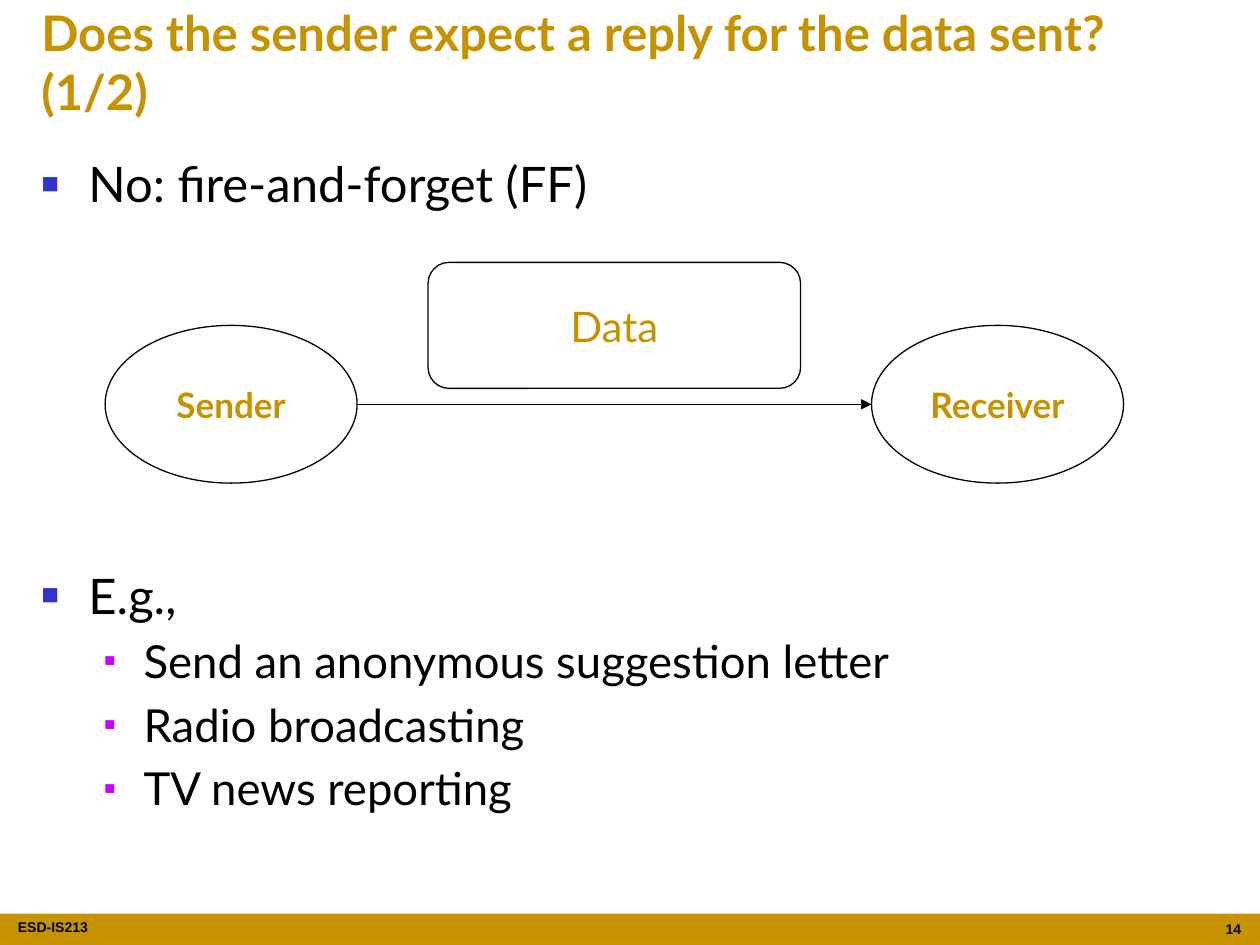
from dataclasses import dataclass

from lxml import etree
from pptx import Presentation
from pptx.dml.color import RGBColor
from pptx.enum.shapes import MSO_CONNECTOR, MSO_SHAPE
from pptx.enum.text import MSO_ANCHOR, MSO_AUTO_SIZE, PP_ALIGN
from pptx.oxml.ns import qn
from pptx.util import Cm, Pt

RECT, OVAL, ROUNDED = MSO_SHAPE.RECTANGLE, MSO_SHAPE.OVAL, MSO_SHAPE.ROUNDED_RECTANGLE
LEFT, CENTER, RIGHT = PP_ALIGN.LEFT, PP_ALIGN.CENTER, PP_ALIGN.RIGHT
STRAIGHT = MSO_CONNECTOR.STRAIGHT
MIDDLE, TOP = MSO_ANCHOR.MIDDLE, MSO_ANCHOR.TOP
NO_AUTOFIT = MSO_AUTO_SIZE.NONE


@dataclass(frozen=True)
class Theme:
    gold: str = "C69200"
    black: str = "000000"
    bullet_blue: str = "3333CC"
    bullet_magenta: str = "CC00FF"
    font: str = "Lato"
    footer_font: str = "Arial"
    heading: float = 28
    sub_item: float = 26
    data: float = 24
    node: float = 20
    footer: float = 8
    line: float = 0.75


THEME = Theme()


@dataclass(frozen=True)
class Box:
    left: float
    top: float
    width: float
    height: float

    def lengths(self) -> tuple:
        return Cm(self.left), Cm(self.top), Cm(self.width), Cm(self.height)


@dataclass(frozen=True)
class Node:
    text: str
    kind: int
    box: Box
    size: float
    bold: bool


@dataclass(frozen=True)
class Level:
    size: float
    indent: float
    hanging: float
    bullet_color: str
    bullet_percent: int


@dataclass(frozen=True)
class Item:
    text: str
    level: int
    space_before: float


LEVELS = (
    Level(THEME.heading, 0.95, 0.95, THEME.bullet_blue, 60),
    Level(THEME.sub_item, 2.06, 0.79, THEME.bullet_magenta, 40),
)
DIAGRAM_GAP = 201.6
SUB_GAP = 5.2
ITEMS = (
    Item("No: fire-and-forget (FF)", 0, 0),
    Item("E.g.,", 0, DIAGRAM_GAP),
    Item("Send an anonymous suggestion letter", 1, SUB_GAP),
    Item("Radio broadcasting", 1, SUB_GAP),
    Item("TV news reporting", 1, SUB_GAP),
)
SENDER = Node("Sender", OVAL, Box(2.12, 6.56, 5.08, 3.18), THEME.node, True)
RECEIVER = Node("Receiver", OVAL, Box(17.57, 6.56, 5.08, 3.18), THEME.node, True)
DATA = Node("Data", ROUNDED, Box(8.63, 5.29, 7.51, 2.54), THEME.data, False)


def place(s, box: Box) -> None:
    s.left, s.top, s.width, s.height = box.lengths()


def style(p, size: float, color: str, bold: bool = False,
          font: str = THEME.font, align=LEFT) -> None:
    p.alignment = align
    for r in p.runs:
        r.font.name, r.font.size, r.font.bold = font, Pt(size), bold
        r.font.color.rgb = RGBColor.from_string(color)


def set_bullet(p, level: Level) -> None:
    pPr = p._p.get_or_add_pPr()
    pPr.set("marL", str(Cm(level.indent)))
    pPr.set("indent", str(-Cm(level.hanging)))
    color = etree.SubElement(pPr, qn("a:buClr"))
    etree.SubElement(color, qn("a:srgbClr"), val=level.bullet_color)
    etree.SubElement(pPr, qn("a:buSzPct"), val=str(level.bullet_percent * 1000))
    etree.SubElement(pPr, qn("a:buFont"), typeface=THEME.footer_font)
    etree.SubElement(pPr, qn("a:buChar"), char="■")


def add_title(slide, text: str) -> None:
    s = slide.shapes.title
    place(s, Box(0.58, -0.08, 24.23, 2.64))
    tf = s.text_frame
    tf.text = text
    tf.auto_size, tf.vertical_anchor = NO_AUTOFIT, MIDDLE
    style(tf.paragraphs[0], THEME.heading, THEME.gold, bold=True)


def add_list(slide, items: tuple[Item, ...]) -> None:
    s = slide.placeholders[1]
    place(s, Box(0.58, 2.97, 24.18, 14.81))
    tf = s.text_frame
    tf.text = "\n".join(item.text for item in items)
    tf.auto_size, tf.vertical_anchor = NO_AUTOFIT, TOP
    for p, item in zip(tf.paragraphs, items):
        level = LEVELS[item.level]
        p.level, p.space_before = item.level, Pt(item.space_before)
        style(p, level.size, THEME.black)
        set_bullet(p, level)


def add_node(slide, node: Node):
    s = slide.shapes.add_shape(node.kind, *node.box.lengths())
    s.shadow.inherit = False
    s.fill.background()
    s.line.color.rgb = RGBColor.from_string(THEME.black)
    s.line.width = Pt(THEME.line)
    tf = s.text_frame
    tf.text, tf.vertical_anchor = node.text, MIDDLE
    style(tf.paragraphs[0], node.size, THEME.gold, node.bold, align=CENTER)
    return s


def add_arrow(slide, start, end) -> None:
    """Join the right side of one oval to the left side of another."""
    y = start.top + start.height // 2
    c = slide.shapes.add_connector(STRAIGHT, start.left + start.width, y, end.left, y)
    c.line.color.rgb = RGBColor.from_string(THEME.black)
    c.line.width = Pt(THEME.line)
    etree.SubElement(c.line._get_or_add_ln(), qn("a:tailEnd"), type="triangle")
    etree.SubElement(c._element.spPr, qn("a:effectLst"))


def add_footer_text(slide, text: str, box: Box, align, margin: float) -> None:
    tf = slide.shapes.add_textbox(*box.lengths()).text_frame
    tf.word_wrap = True
    tf.margin_left = tf.margin_right = Cm(margin)
    tf.text = text
    style(tf.paragraphs[0], THEME.footer, THEME.black, True, THEME.footer_font, align)


def add_footer(slide) -> None:
    band = slide.shapes.add_shape(RECT, *Box(0, 18.42, 25.4, 0.63).lengths())
    band.shadow.inherit = False
    band.fill.solid()
    band.fill.fore_color.rgb = RGBColor.from_string(THEME.gold)
    band.line.fill.background()
    add_footer_text(slide, "ESD-IS213", Box(0.36, 18.39, 3.28, 0.63), LEFT, 0)
    add_footer_text(slide, "14", Box(24.28, 18.44, 0.99, 0.61), RIGHT, 0.25)


def main() -> None:
    prs = Presentation()
    prs.slide_width, prs.slide_height = Cm(25.4), Cm(19.05)
    slide = prs.slides.add_slide(prs.slide_layouts[1])
    add_footer(slide)
    add_title(slide, "Does the sender expect a reply for the data sent? (1/2)")
    add_list(slide, ITEMS)
    sender, receiver = add_node(slide, SENDER), add_node(slide, RECEIVER)
    add_arrow(slide, sender, receiver)
    add_node(slide, DATA)
    prs.save("out.pptx")


if __name__ == "__main__":
    main()
